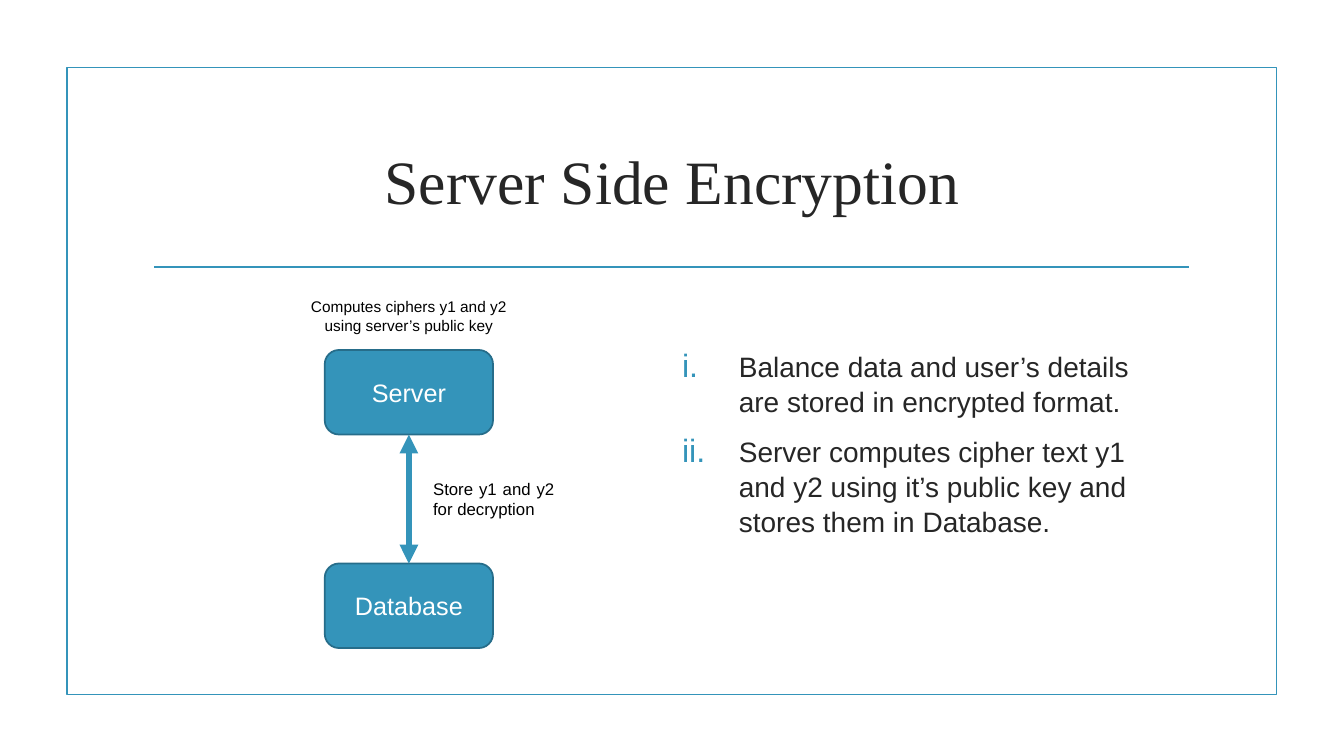
from collections import namedtuple
from dataclasses import dataclass

from pptx import Presentation
from pptx.dml.color import RGBColor
from pptx.enum.shapes import MSO_CONNECTOR, MSO_SHAPE
from pptx.enum.text import MSO_ANCHOR, PP_ALIGN
from pptx.oxml.ns import qn
from pptx.util import Cm, Pt
from lxml.etree import SubElement

Box = namedtuple("Box", "left top width height")


@dataclass(frozen=True)
class Theme:
    accent: RGBColor = RGBColor(0x34, 0x94, 0xBA)
    outline: RGBColor = RGBColor(0x26, 0x6D, 0x8A)
    ink: RGBColor = RGBColor(0x26, 0x26, 0x26)
    black: RGBColor = RGBColor(0, 0, 0)
    white: RGBColor = RGBColor(255, 255, 255)
    title_font: str = "Times New Roman"
    body_font: str = "Arial"
    title_size: float = 44
    body_size: float = 20
    node_size: float = 18
    note_size: float = 12
    caption_size: float = 11
    thin: float = 1.25
    thick: float = 4.5


THEME = Theme()


def lengths(box):
    return [Cm(value) for value in box]


def write(para, text, size, color=THEME.black, font=THEME.body_font, align=PP_ALIGN.LEFT):
    para.alignment = align
    span = para.add_run()
    span.text = text
    span.font.name = font
    span.font.size = Pt(size)
    span.font.color.rgb = color


def add_text_frame(page, box):
    frame = page.shapes.add_textbox(*lengths(box)).text_frame
    frame.word_wrap = True
    return frame


def add_panel(page, kind, box, line, fill=None):
    panel = page.shapes.add_shape(kind, *lengths(box))
    panel.shadow.inherit = False
    if fill is None:
        panel.fill.background()
    else:
        panel.fill.solid()
        panel.fill.fore_color.rgb = fill
    panel.line.color.rgb = line
    panel.line.width = Pt(THEME.thin)
    return panel


def add_line(page, start, end, width):
    line = page.shapes.add_connector(
        MSO_CONNECTOR.STRAIGHT, *lengths(start), *lengths(end))
    line.line.color.rgb = THEME.accent
    line.line.width = Pt(width)
    SubElement(line._element.spPr, qn("a:effectLst"))
    return line


def add_node(page, text, box):
    node = add_panel(page, MSO_SHAPE.FLOWCHART_ALTERNATE_PROCESS, box,
                     THEME.outline, THEME.accent)
    node.text_frame.vertical_anchor = MSO_ANCHOR.MIDDLE
    write(node.text_frame.paragraphs[0], text, THEME.node_size,
          color=THEME.white, align=PP_ALIGN.CENTER)
    return node


def add_roman_number(para):
    properties = para._p.get_or_add_pPr()
    properties.set("marL", str(Cm(1.43)))
    properties.set("indent", str(-Cm(1.43)))
    color = SubElement(properties, qn("a:buClr"))
    SubElement(color, qn("a:srgbClr"), val=str(THEME.accent))
    SubElement(properties, qn("a:buSzPct"), val="115000")
    SubElement(properties, qn("a:buFont"), typeface=THEME.body_font)
    SubElement(properties, qn("a:buAutoNum"), type="romanLcPeriod")


def build_frame(page, box):
    """Draw the border and the rule under the title."""
    add_panel(page, MSO_SHAPE.RECTANGLE, box, THEME.accent)
    rule_top = box.top + 5.03
    margin = 2.2
    add_line(page, (box.left + margin, rule_top),
             (box.left + box.width - margin, rule_top), THEME.thin)


def build_title(page, text, box):
    title = page.shapes.title
    title.left, title.top, title.width, title.height = lengths(box)
    title.text_frame.vertical_anchor = MSO_ANCHOR.MIDDLE
    write(title.text_frame.paragraphs[0], text, THEME.title_size, color=THEME.ink,
          font=THEME.title_font, align=PP_ALIGN.CENTER)


def build_diagram(page, box):
    """Stack the two nodes, join them and label them."""
    caption = add_text_frame(page, Box(box.left, box.top, box.width, 1.2))
    write(caption.paragraphs[0], "Computes ciphers y1 and y2 using server’s public key",
          THEME.caption_size, align=PP_ALIGN.CENTER)

    width, height = 4.24, 2.13
    middle = box.left + box.width / 2
    left = middle - width / 2
    server_top = box.top + 1.45
    database_top = box.top + box.height - height
    server = add_node(page, "Server", Box(left, server_top, width, height))
    database = add_node(page, "Database", Box(left, database_top, width, height))

    arrow = add_line(page, (middle, server_top + height), (middle, database_top),
                     THEME.thick)
    arrow.begin_connect(server, 2)
    arrow.end_connect(database, 0)
    stroke = arrow.line._get_or_add_ln()
    for end in ("a:headEnd", "a:tailEnd"):
        SubElement(stroke, qn(end), type="triangle")

    note = add_text_frame(page, Box(middle + 0.36, box.top + 4.57, 3.56, 1.27))
    write(note.paragraphs[0], "Store y1 and y2 for decryption",
          THEME.note_size, align=PP_ALIGN.JUSTIFY)


def build_points(page, points, box):
    frame = add_text_frame(page, box)
    for index, point in enumerate(points):
        para = frame.add_paragraph() if index else frame.paragraphs[0]
        add_roman_number(para)
        para.line_spacing = 1.05
        para.space_before = Pt(4 if index else 0)
        para.space_after = Pt(6)
        write(para, point, THEME.body_size, color=THEME.ink)


def build_encryption_page(deck):
    page = deck.slides.add_slide(deck.slide_layouts[5])
    build_frame(page, Box(1.69, 1.7, 30.48, 15.8))
    build_title(page, "Server Side Encryption", Box(3.61, 2.72, 26.67, 3.63))
    build_points(page, [
        "Balance data and user’s details are stored in encrypted format.",
        "Server computes cipher text y1 and y2 using it’s public key and "
        "stores them in Database.",
    ], Box(16.94, 8.64, 12.93, 5.56))
    build_diagram(page, Box(7.42, 7.37, 5.77, 8.96))


def main():
    deck = Presentation()
    deck.slide_width, deck.slide_height = Cm(33.87), Cm(19.05)
    build_encryption_page(deck)
    deck.save("out.pptx")


if __name__ == "__main__":
    main()
